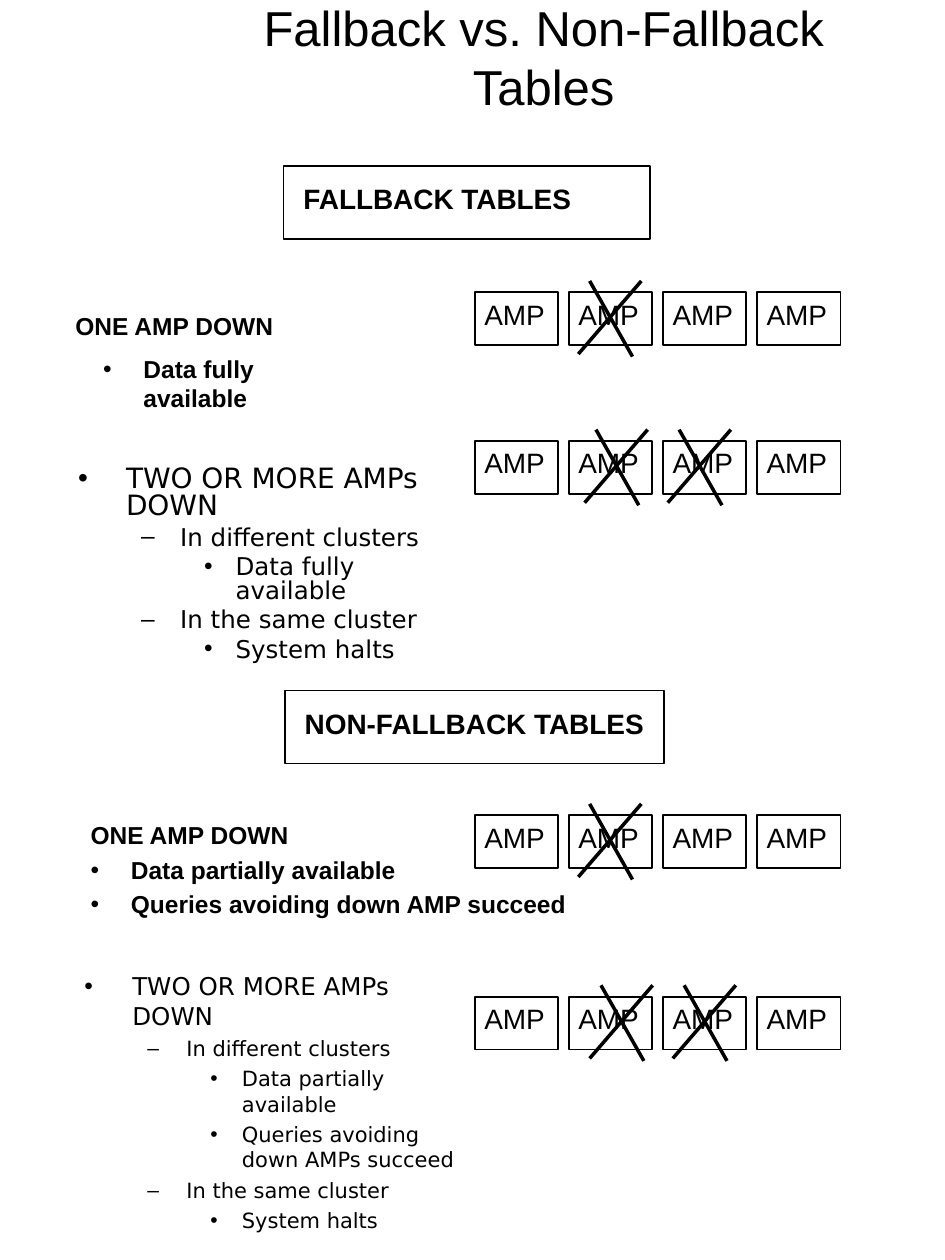
from typing import NamedTuple

from lxml.etree import SubElement
from pptx import Presentation
from pptx.dml.color import RGBColor
from pptx.enum.shapes import MSO_CONNECTOR as Connector, MSO_SHAPE as Shape
from pptx.enum.text import MSO_ANCHOR as Anchor, MSO_AUTO_SIZE as AutoSize, PP_ALIGN as Align
from pptx.oxml.ns import qn
from pptx.util import Inches, Pt

COLUMNS, ROWS = 75, 100
WIDTH, HEIGHT = Inches(7.5), Inches(10)
INK = "000000"
AMP_LEFT, AMP_PITCH, AMP_COUNT = 37.7, 7.47, 4


class Box(NamedTuple):
    """A place on the slide, in columns and rows of the grid."""
    left: float
    top: float
    width: float
    height: float


class Line(NamedTuple):
    text: str
    size: float
    level: int = 0
    bullet: str = ""
    margin: float = 0  # columns
    hanging: float = 0  # columns
    before: float = 0
    after: float = 0
    spacing: float = 1.0


class Note(NamedTuple):
    box: Box
    lines: list[Line]


class AmpRow(NamedTuple):
    top: float
    cross_lefts: list[float]


def outline(text: str, size: float, level: int, before: float, spacing: float = 1.0) -> Line:
    """A list line whose bullet and indent follow from its level."""
    bullet, margin, hanging = [("•", 3.8, 3.8), ("–", 8.1, 3.1), ("•", 12.5, 2.5)][level]
    return Line(text, size, level, bullet, margin, hanging, before, 0, spacing)


HEADINGS = [
    (Box(22.5, 13.2, 29.1, 5.8), Note(Box(23.1, 13.9, 23.6, 3.7), [Line("FALLBACK TABLES", 16)])),
    (Box(22.6, 54.8, 30.1, 5.8), Note(Box(23.2, 55.6, 29.2, 3.7), [Line("NON-FALLBACK TABLES", 16)])),
]

ONE_DOWN_NOTES = [
    Note(Box(5, 24.2, 17.8, 3.3), [Line("ONE AMP DOWN", 14)]),
    Note(Box(7.2, 27.6, 22.7, 3.3),
         [Line("Data fully available", 14, bullet="•", margin=3.2, hanging=3.2)]),
    Note(Box(6.2, 64.6, 39.9, 8.9), [
        Line(text, 14, bullet=bullet, margin=3.2, hanging=3.2, after=3)
        for text, bullet in [("ONE AMP DOWN", ""), ("Data partially available", "•"),
                             ("Queries avoiding down AMP succeed", "•")]
    ]),
]

FALLBACK_LIST = Note(Box(5.2, 36.6, 29.3, 17.2), [
    outline("TWO OR MORE AMPs DOWN", 16, 0, 0, 0.8),
    outline("In different clusters", 14, 1, 3.5, 0.8),
    outline("Data fully available", 14, 2, 3.5, 0.8),
    outline("In the same cluster", 14, 1, 3.5, 0.8),
    outline("System halts", 14, 2, 3.5, 0.8),
])

NON_FALLBACK_LIST = Note(Box(5.7, 76.6, 31.9, 22.1), [
    outline("TWO OR MORE AMPs DOWN", 14, 0, 0),
    outline("In different clusters", 12, 1, 3),
    outline("Data partially available", 12, 2, 3),
    outline("Queries avoiding down AMPs succeed", 12, 2, 3),
    outline("In the same cluster", 12, 1, 3),
    outline("System halts", 12, 2, 3),
])

AMP_ROWS = [
    AmpRow(23.2, [45.9]),
    AmpRow(35, [46.4, 53]),
    AmpRow(64.7, [45.9]),
    AmpRow(79.1, [46.8, 53.4]),
]


def color(value: str) -> RGBColor:
    return RGBColor.from_string(value)


def col(count: float) -> int:
    return round(WIDTH * count / COLUMNS)


def row(count: float) -> int:
    return round(HEIGHT * count / ROWS)


def place(box: Box) -> tuple[int, int, int, int]:
    return col(box.left), row(box.top), col(box.width), row(box.height)


def move(placeholder, box: Box) -> None:
    placeholder.left, placeholder.top, placeholder.width, placeholder.height = place(box)
    placeholder.text_frame.auto_size = AutoSize.NONE


def set_bullet(paragraph, line: Line) -> None:
    properties = paragraph._p.get_or_add_pPr()
    properties.set("marL", str(col(line.margin)))
    properties.set("indent", str(-col(line.hanging)))
    if line.bullet:
        bullet_color = SubElement(properties, qn("a:buClr"))
        SubElement(bullet_color, qn("a:srgbClr"), val=INK)
        SubElement(properties, qn("a:buFont"), typeface="Arial")
        SubElement(properties, qn("a:buChar"), char=line.bullet)
    else:
        SubElement(properties, qn("a:buNone"))


def write(frame, lines: list[Line], font_name: str, bold: bool) -> None:
    frame.text = "\n".join(line.text for line in lines)
    for paragraph, line in zip(frame.paragraphs, lines):
        paragraph.level = line.level
        set_bullet(paragraph, line)
        paragraph.space_before = Pt(line.before)
        paragraph.space_after = Pt(line.after)
        paragraph.line_spacing = line.spacing
        for run in paragraph.runs:
            run.font.name = font_name
            run.font.size = Pt(line.size)
            run.font.bold = bold
            run.font.color.rgb = color(INK)


def add_note(slide, note: Note, bold: bool = True) -> None:
    frame = slide.shapes.add_textbox(*place(note.box)).text_frame
    write(frame, note.lines, "Arial", bold)
    frame.word_wrap = False
    frame.auto_size = AutoSize.SHAPE_TO_FIT_TEXT


def add_frame(slide, box: Box) -> None:
    frame = slide.shapes.add_shape(Shape.RECTANGLE, *place(box))
    frame.shadow.inherit = False
    frame.fill.background()
    frame.line.color.rgb = color(INK)
    frame.line.width = Pt(1)


def add_cross(slide, left: float, top: float) -> None:
    for start, end, depth in [(0.9, 4.3, 6), (5, 0, 5.8)]:
        stroke = slide.shapes.add_connector(
            Connector.STRAIGHT, col(left + start), row(top), col(left + end), row(top + depth))
        stroke.line.color.rgb = color(INK)
        stroke.line.width = Pt(2)
        SubElement(stroke._element.spPr, qn("a:effectLst"))


def add_amp_row(slide, amps: AmpRow) -> None:
    for index in range(AMP_COUNT):
        left = AMP_LEFT + index * AMP_PITCH
        add_frame(slide, Box(left, amps.top, 6.6, 4.2))
        add_note(slide, Note(Box(left - 0.25, amps.top - 0.1, 6.8, 3.7), [Line("AMP", 16)]), bold=False)
    for cross_left in amps.cross_lefts:
        add_cross(slide, cross_left, amps.top - 0.9)


def main() -> None:
    deck = Presentation()
    deck.slide_width, deck.slide_height = WIDTH, HEIGHT
    slide = deck.slides.add_slide(deck.slide_layouts.get_by_name("Two Content"))
    title, fallback_body, non_fallback_body = list(slide.placeholders)[:3]

    move(title, Box(16.3, 0, 53.7, 8.9))
    write(title.text_frame, [Line("Fallback vs. Non-Fallback Tables", 28)], "Arial", False)
    title.text_frame.paragraphs[0].alignment = Align.CENTER
    title.text_frame.vertical_anchor = Anchor.MIDDLE

    for body, note in [(fallback_body, FALLBACK_LIST), (non_fallback_body, NON_FALLBACK_LIST)]:
        move(body, note.box)
        write(body.text_frame, note.lines, "DejaVu Sans", False)

    for frame_box, heading in HEADINGS:
        add_frame(slide, frame_box)
        add_note(slide, heading)
    for note in ONE_DOWN_NOTES:
        add_note(slide, note)
    for amps in AMP_ROWS:
        add_amp_row(slide, amps)

    deck.save("out.pptx")


if __name__ == "__main__":
    main()
